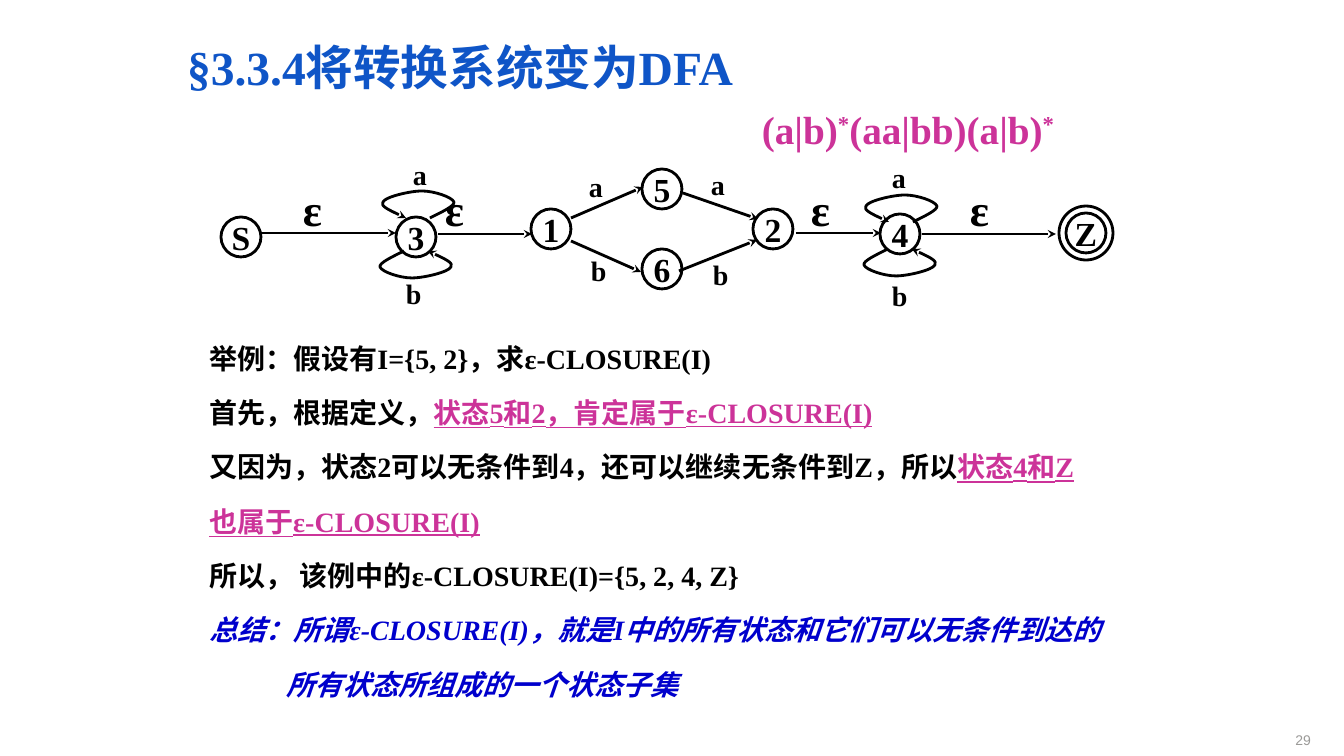
"""Builds a slide on the epsilon closure of a state set in a transition graph."""
from dataclasses import dataclass
from lxml import etree
from pptx import Presentation
from pptx import util as u
from pptx.dml.color import RGBColor
from pptx.enum import shapes, text
from pptx.oxml.ns import qn


@dataclass(frozen=True)
class Theme:
    serif: str = "Times New Roman"
    sans: str = "Arial"
    black: str = "000000"
    title: str = "0F55C7"
    pink: str = "CC3399"
    blue: str = "0000CC"
    gray: str = "9B9A98"
    head: int = 34
    big: int = 32
    rule: int = 28
    state: int = 24
    base: int = 20
    note: int = 10
    line: int = 2


T = Theme()
EMU = 914400 / 100.8
SIZE = (1344, 756)
RING, OUTER = 40, 54

TITLE = "§3.3.4将转换系统变为DFA"
RULE = [("(a|b)", 0), ("*", 30000), ("(aa|bb)(a|b)", 0), ("*", 30000)]
PLAIN = {"color": T.black}
MARK = {"color": T.pink, "under": True}
SUM = {"color": T.blue, "slant": True}
BODY = [
    [("举例：假设有I={5, 2}，求ε-CLOSURE(I)", PLAIN)],
    [("首先，根据定义，", PLAIN), ("状态5和2，肯定属于ε-CLOSURE(I)", MARK)],
    [("又因为，状态2可以无条件到4，还可以继续无条件到Z，所以", PLAIN), ("状态4和Z", MARK)],
    [("也属于ε-CLOSURE(I)", MARK)],
    [("所以， 该例中的ε-CLOSURE(I)={5, 2, 4, Z}", PLAIN)],
    [("总结：所谓ε-CLOSURE(I)，就是I中的所有状态和它们可以无条件到达的", SUM)],
    [("所有状态所组成的一个状态子集", SUM)],
]
STATES = {
    "S": (241, 237), "3": (416, 237), "1": (551, 229), "5": (662, 189),
    "6": (662, 269), "2": (773, 229), "4": (900, 234), "Z": (1086, 233),
}
ARROWS = [
    (261, 233, 396, 233), (438, 234, 532, 234),
    (796, 233, 881, 233), (922, 234, 1056, 234),
    (571, 218, 643, 187), (683, 193, 758, 219),
    (571, 241, 641, 272), (679, 271, 757, 240),
]
LABELS = {
    "ε": [(293, 177), (435, 177), (801, 177), (960, 177)],
    "a": [(403, 153), (579, 165), (701, 163), (882, 156)],
    "b": [(396, 272), (581, 249), (703, 253), (882, 274)],
}
LOOPS = [(416, 251, 1), (900, 249, 1), (418, 218, -1), (901, 222, -1)]
CURVE = [
    (-12, 0), (-24, 6), (-37, 12), (-36, 16), (-34, 21), (-16, 27), (-4, 27),
    (8, 27), (33, 21), (35, 16), (38, 12), (25, 6), (12, 0),
]


def px(*vals):
    return [u.Emu(round(v * EMU)) for v in vals]


def style(run, size, color, bold=True, under=False, slant=False, face=T.serif):
    font = run.font
    font.name, font.size, font.bold = face, u.Pt(size), bold
    font.color.rgb = RGBColor.from_string(color)
    font.underline, font.italic = under, slant


def place(shape, *box):
    shape.left, shape.top, shape.width, shape.height = px(*box)
    frame = shape.text_frame
    frame.auto_size = text.MSO_AUTO_SIZE.NONE
    frame.vertical_anchor = text.MSO_ANCHOR.TOP
    return frame


def label(slide, words, box, size, color, **look):
    frame = slide.shapes.add_textbox(*px(*box)).text_frame
    frame.word_wrap = True
    frame.text = words
    style(frame.paragraphs[0].runs[0], size, color, **look)
    return frame


def ink(shape, arrow=False):
    shape.line.color.rgb = RGBColor.from_string(T.black)
    shape.line.width = u.Pt(T.line)
    if arrow:
        etree.SubElement(shape.line._get_or_add_ln(), qn("a:tailEnd"), type="stealth")


def ring(slide, x, y, size, name=""):
    oval = slide.shapes.add_shape(
        shapes.MSO_SHAPE.OVAL, *px(x - size // 2, y - size // 2, size, size))
    oval.shadow.inherit = False
    oval.fill.background()
    ink(oval)
    if name:
        frame = oval.text_frame
        frame.text, frame.word_wrap = name, False
        frame.margin_left = frame.margin_right = 0
        frame.margin_top = frame.margin_bottom = 0
        frame.vertical_anchor = text.MSO_ANCHOR.MIDDLE
        frame.paragraphs[0].alignment = text.PP_ALIGN.CENTER
        style(frame.paragraphs[0].runs[0], T.state, T.black)


def arrow(slide, *ends):
    line = slide.shapes.add_connector(shapes.MSO_CONNECTOR.STRAIGHT, *px(*ends))
    ink(line, arrow=True)
    etree.SubElement(line._element.spPr, qn("a:effectLst"))


def loop(slide, x, y, sign):
    pts = [(x + sign * dx, y + sign * dy) for dx, dy in CURVE]
    form = slide.shapes.build_freeform(*pts[0], scale=EMU)
    form.add_line_segments(pts[1:], close=False)
    shape = form.convert_to_shape()
    shape.shadow.inherit = False
    shape.fill.background()
    ink(shape, arrow=True)
    track = shape._element.spPr.find(".//" + qn("a:path"))
    steps = track.findall(qn("a:lnTo"))
    for i in range(0, len(steps), 3):
        bend = etree.SubElement(track, qn("a:cubicBezTo"))
        for step in steps[i:i + 3]:
            bend.append(step[0])
            track.remove(step)


def indent(para, left, first):
    props = para._p.get_or_add_pPr()
    left, first = px(left, first)
    props.set("marL", str(left))
    props.set("indent", str(first))
    etree.SubElement(props, qn("a:buNone"))


def prose(slide):
    head = place(slide.shapes.title, 177, 21, 975, 87)
    head.text = TITLE
    para = head.paragraphs[0]
    indent(para, 38, -38)
    para.alignment, para.line_spacing = text.PP_ALIGN.LEFT, 1.2
    para.space_before = u.Pt(0)
    style(para.runs[0], T.head, T.title)

    body = place(slide.placeholders[1], 199, 321, 950, 366)
    for i, parts in enumerate(BODY):
        para = body.paragraphs[0] if i == 0 else body.add_paragraph()
        indent(para, *((77, 0) if i == len(BODY) - 1 else (68, -68)))
        para.alignment, para.line_spacing = text.PP_ALIGN.JUSTIFY, 1.45
        para.space_before = u.Pt(4 if i else 0)
        for words, look in parts:
            run = para.add_run()
            run.text = words
            style(run, T.base, **look)


def graph(slide):
    rule = label(slide, RULE[0][0], (752, 100, 335, 57), T.rule, T.pink)
    for words, lift in RULE[1:]:
        run = rule.paragraphs[0].add_run()
        run.text = words
        style(run, T.rule, T.pink)
        run.font._element.set("baseline", str(lift))
    ring(slide, *STATES["Z"], OUTER)
    for name, spot in STATES.items():
        ring(slide, *spot, RING, name)
    for ends in ARROWS:
        arrow(slide, *ends)
    for spot in LOOPS:
        loop(slide, *spot)
    for name, spots in LABELS.items():
        size, box = (T.big, (72, 64)) if name == "ε" else (T.base, (47, 43))
        for spot in spots:
            label(slide, name, spot + box, size, T.black)


def main():
    deck = Presentation()
    deck.slide_width, deck.slide_height = px(*SIZE)
    slide = deck.slides.add_slide(deck.slide_layouts[1])
    prose(slide)
    graph(slide)
    page = label(slide, "29", (1199, 708, 112, 40), T.note, T.gray, bold=False, face=T.sans)
    page.margin_right = page.margin_bottom = 0
    page.vertical_anchor = text.MSO_ANCHOR.BOTTOM
    page.paragraphs[0].alignment = text.PP_ALIGN.RIGHT
    deck.save("out.pptx")


if __name__ == "__main__":
    main()
